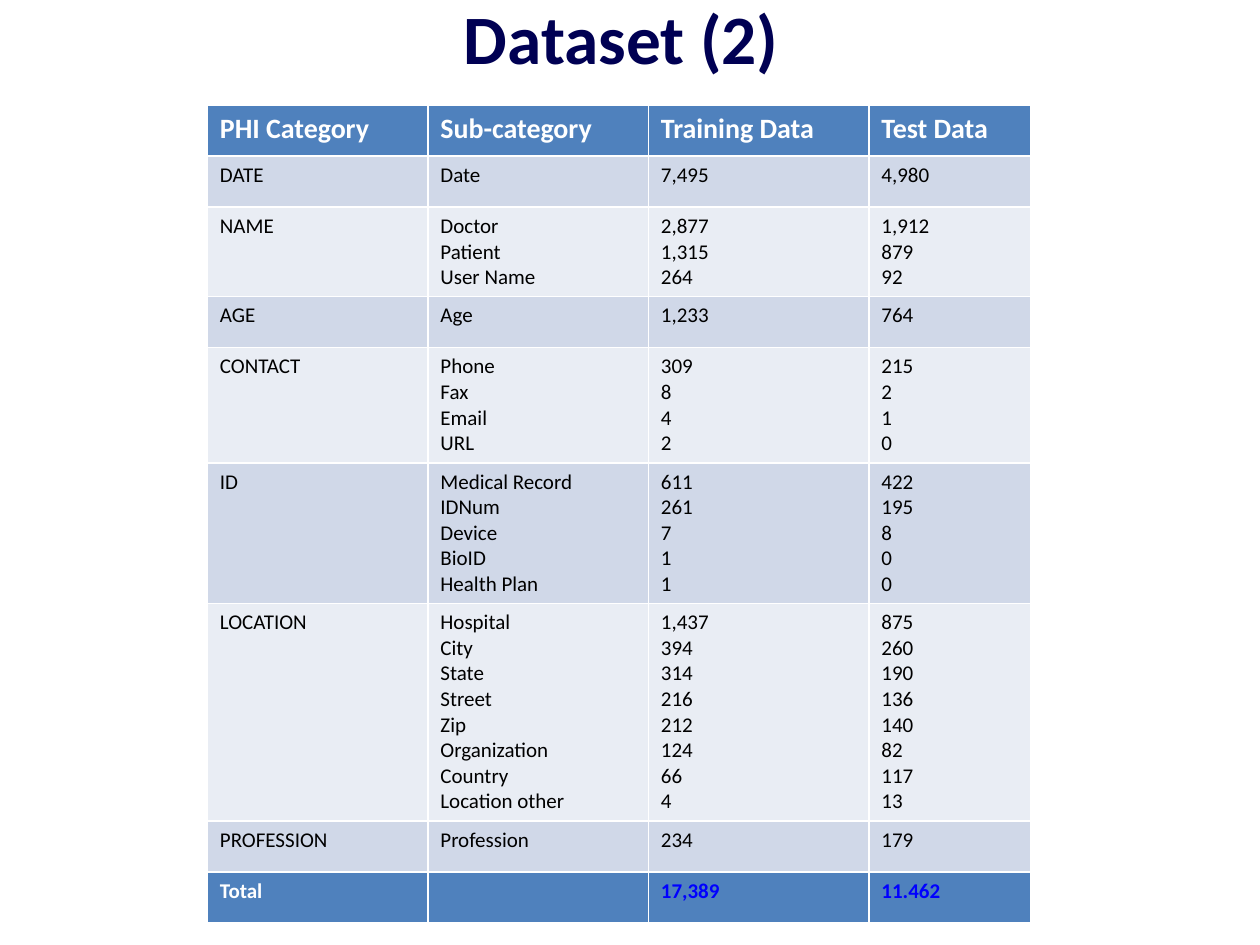
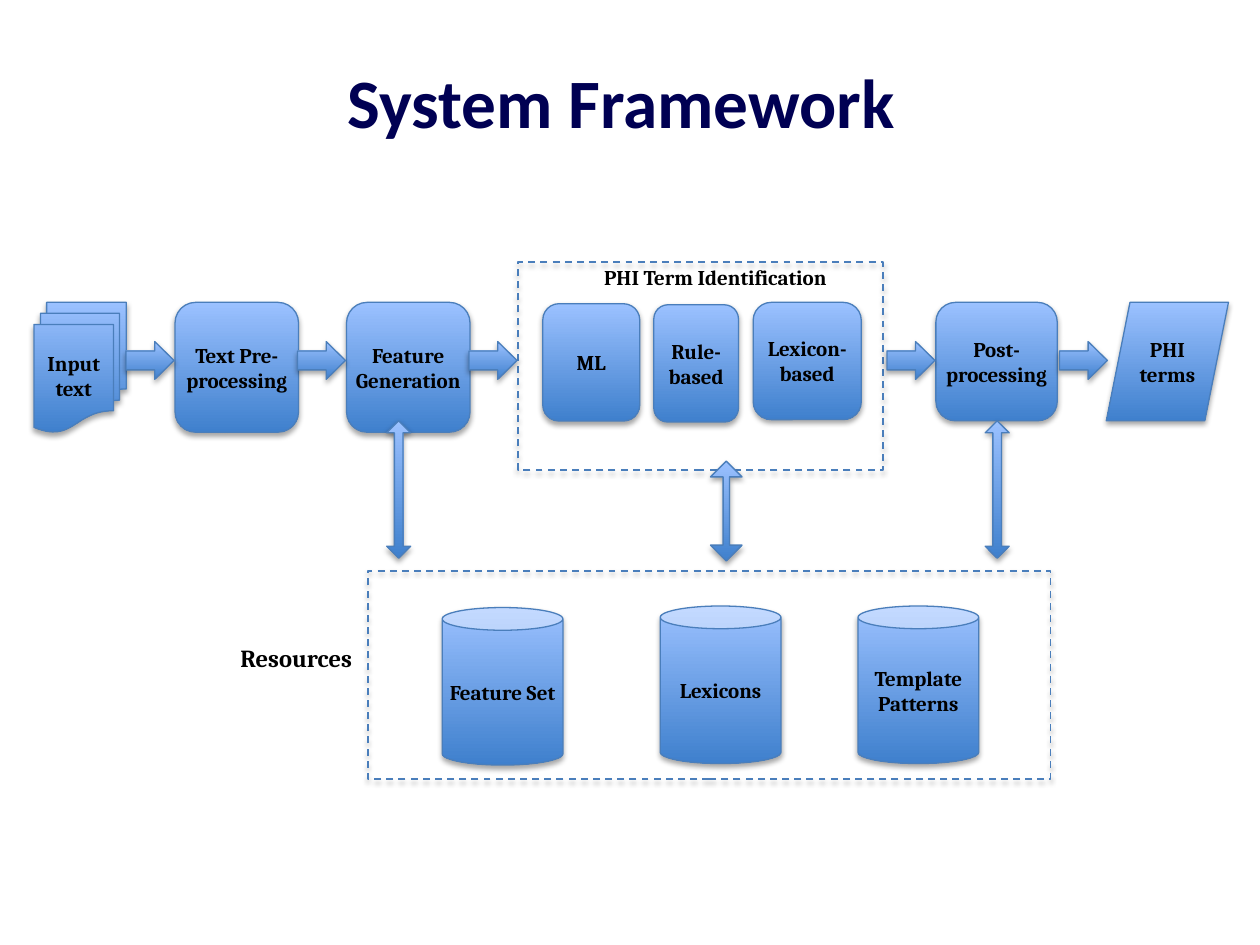
import pptx
import pptx.util
import pptx.dml.color
import pptx.enum.dml
import pptx.enum.shapes
import pptx.enum.text
import lxml.etree

Pt = pptx.util.Pt
SHAPE = pptx.enum.shapes.MSO_SHAPE
ALIGN = pptx.enum.text.PP_ALIGN
ANCHOR = pptx.enum.text.MSO_ANCHOR
DRAWING = "http://schemas.openxmlformats.org/drawingml/2006/main"

COLOURS = {
    "title": "000053", "text": "000000", "white": "FFFFFF", "total": "0000FF",
    "header": "4F81BD", "band dark": "D0D8E8", "band light": "E9EDF4",
    "line": "4A7EBB", "gradient top": "9BC1FF", "gradient bottom": "3F80CD",
}

# Category, then (sub-category, training count, test count)
PHI_COUNTS = [
    ("DATE", [("Date", "7,495", "4,980")]),
    ("NAME", [("Doctor", "2,877", "1,912"), ("Patient", "1,315", "879"),
              ("User Name", "264", "92")]),
    ("AGE", [("Age", "1,233", "764")]),
    ("CONTACT", [("Phone", "309", "215"), ("Fax", "8", "2"),
                 ("Email", "4", "1"), ("URL", "2", "0")]),
    ("ID", [("Medical Record", "611", "422"), ("IDNum", "261", "195"),
            ("Device", "7", "8"), ("BioID", "1", "0"),
            ("Health Plan", "1", "0")]),
    ("LOCATION", [("Hospital", "1,437", "875"), ("City", "394", "260"),
                  ("State", "314", "190"), ("Street", "216", "136"),
                  ("Zip", "212", "140"), ("Organization", "124", "82"),
                  ("Country", "66", "117"), ("Location other", "4", "13")]),
    ("PROFESSION", [("Profession", "234", "179")]),
]


def colour(name):
    return pptx.dml.color.RGBColor.from_string(COLOURS[name])


class SlideBuilder:
    """Holds the shared style and the slide being built."""

    def __init__(self):
        self.deck = pptx.Presentation()
        self.deck.slide_width, self.deck.slide_height = Pt(720), Pt(540)
        self.page = None

    def set_text(self, frame, text, size, ink="text", font="Calibri", bold=True,
                 align=None):
        frame.text = text
        for paragraph in frame.paragraphs:
            paragraph.alignment = align
            paragraph.font.name = font
            paragraph.font.size = Pt(size)
            paragraph.font.bold = bold
            paragraph.font.color.rgb = colour(ink)

    def set_frame(self, frame, anchor, side, edge):
        frame.word_wrap = True
        frame.vertical_anchor = anchor
        frame.margin_left = frame.margin_right = Pt(side)
        frame.margin_top = frame.margin_bottom = Pt(edge)

    def add_page(self, title, top):
        self.page = self.deck.slides.add_slide(self.deck.slide_layouts[5])
        box = self.page.shapes.title
        box.left, box.top, box.width, box.height = Pt(31), Pt(top), Pt(648), Pt(47.5)
        box.text_frame.vertical_anchor = ANCHOR.MIDDLE
        self.set_text(box.text_frame, title, 39.6, "title", align=ALIGN.CENTER)

    def add_table(self, left, top, widths, row_height, rows):
        table = self.page.shapes.add_table(
            len(rows), len(widths), Pt(left), Pt(top),
            Pt(sum(widths)), Pt(row_height * len(rows))).table
        table.last_row = True
        for column, width in zip(table.columns, widths):
            column.width = Pt(width)
        last = len(rows) - 1
        for i, texts in enumerate(rows):
            edge = i in (0, last)
            band = "header" if edge else "band dark" if i % 2 else "band light"
            for j, text in enumerate(texts):
                cell = table.cell(i, j)
                cell.fill.solid()
                cell.fill.fore_color.rgb = colour(band)
                ink = "text" if not edge else "total" if i and j else "white"
                self.set_text(cell.text_frame, text, 12 if i else 16, ink, bold=edge)

    def add_shadow(self, shape):
        shape.shadow.inherit = False
        effects = shape._element.spPr.find(f"{{{DRAWING}}}effectLst")
        shadow = lxml.etree.SubElement(
            effects, f"{{{DRAWING}}}outerShdw", blurRad=str(Pt(3.1)),
            dist=str(Pt(1.8)), dir="5400000", rotWithShape="0")
        black = lxml.etree.SubElement(shadow, f"{{{DRAWING}}}srgbClr",
                                      val=COLOURS["text"])
        lxml.etree.SubElement(black, f"{{{DRAWING}}}alpha", val="35000")

    def add_outline(self, kind, left, top, width, height, line_width):
        shape = self.page.shapes.add_shape(
            kind, Pt(left), Pt(top), Pt(width), Pt(height))
        shape.line.color.rgb = colour("line")
        shape.line.width = Pt(line_width)
        self.add_shadow(shape)
        return shape

    def add_block(self, kind, left, top, width, height, text="", adjust=()):
        shape = self.add_outline(kind, left, top, width, height, 0.75)
        for i, value in enumerate(adjust):
            shape.adjustments[i] = value
        shape.fill.gradient()
        shape.fill.gradient_angle = 270
        for stop, name in zip(shape.fill.gradient_stops,
                              ("gradient top", "gradient bottom")):
            stop.color.rgb = colour(name)
        if text:
            self.set_frame(shape.text_frame, ANCHOR.MIDDLE, 1, 3)
            self.set_text(shape.text_frame, text, 12, font="Cambria",
                          align=ALIGN.CENTER)

    def add_dashed_frame(self, left, top, width, height):
        shape = self.add_outline(SHAPE.RECTANGLE, left, top, width, height, 1)
        shape.fill.background()
        shape.line.dash_style = pptx.enum.dml.MSO_LINE.DASH

    def add_label(self, text, left, top, width, size):
        box = self.page.shapes.add_textbox(Pt(left), Pt(top), Pt(width), Pt(45.4))
        self.set_frame(box.text_frame, ANCHOR.TOP, 1.5, 1.5)
        self.set_text(box.text_frame, text, size, font="Cambria", align=ALIGN.CENTER)


def build_dataset(builder):
    builder.add_page("Dataset (2)", -3)
    rows = [("PHI Category", "Sub-category", "Training Data", "Test Data")]
    for category, counts in PHI_COUNTS:
        rows.append((category, *("\n".join(column) for column in zip(*counts))))
    rows.append(("Total", "", "17,389", "11.462"))
    builder.add_table(118.5, 60, (126, 126, 126, 92.5), 29.2, rows)


def build_framework(builder):
    builder.add_page("System Framework", 34)
    row_top = 172.8

    # Dashed frames
    builder.add_dashed_frame(210.2, 326.2, 390.2, 118.8)
    builder.add_dashed_frame(295.9, 149.8, 208.8, 118.8)

    # Input and output
    builder.add_block(SHAPE.FLOWCHART_MULTIDOCUMENT, 19.4, row_top, 52.8, 74.2,
                      "Input text")
    builder.add_block(SHAPE.PARALLELOGRAM, 632.2, row_top, 69.8, 67.7,
                      "PHI terms", (0.2,))

    # Processing steps
    for text, left, top, width, height in (
            ("Text Pre-processing", 100, row_top, 70.6, 74.2),
            ("Feature Generation", 198, row_top, 70.6, 74.2),
            ("ML", 310.2, 173.6, 55.4, 67),
            ("Rule-based", 373.6, 174.2, 48.4, 67),
            ("Lexicon-based", 430.4, row_top, 61.8, 67),
            ("Post-processing", 534.8, row_top, 69.4, 67.7)):
        builder.add_block(SHAPE.ROUNDED_RECTANGLE, left, top, width, height, text)

    # Resource stores
    for text, left, top in (("Feature Set", 252.7, 347.2),
                            ("Lexicons", 377.3, 346.3),
                            ("Template Patterns", 490.3, 346.3)):
        builder.add_block(SHAPE.CAN, left, top, 69, 90, text, (0.188,))

    # Arrows along the pipeline and down to the resources
    for left in (72, 170, 268, 506.8, 605.4):
        builder.add_block(SHAPE.RIGHT_ARROW, left, 195.2, 27.4, 21.6,
                          adjust=(0.5, 0.51))
    for left, top, width, height, head in ((221, 240.5, 13.7, 78.5, 0.36),
                                           (406, 263.5, 18, 57, 0.2),
                                           (563, 240.5, 13.7, 78.5, 0.36)):
        builder.add_block(SHAPE.UP_DOWN_ARROW, left, top, width, height,
                          adjust=(0.5, head))

    # Frame labels
    builder.add_label("Resources", 134, 365.8, 70.6, 14)
    builder.add_label("PHI Term Identification", 339, 149.8, 139.7, 12)


def main():
    builder = SlideBuilder()
    build_dataset(builder)
    build_framework(builder)
    builder.deck.save("out.pptx")


if __name__ == "__main__":
    main()
